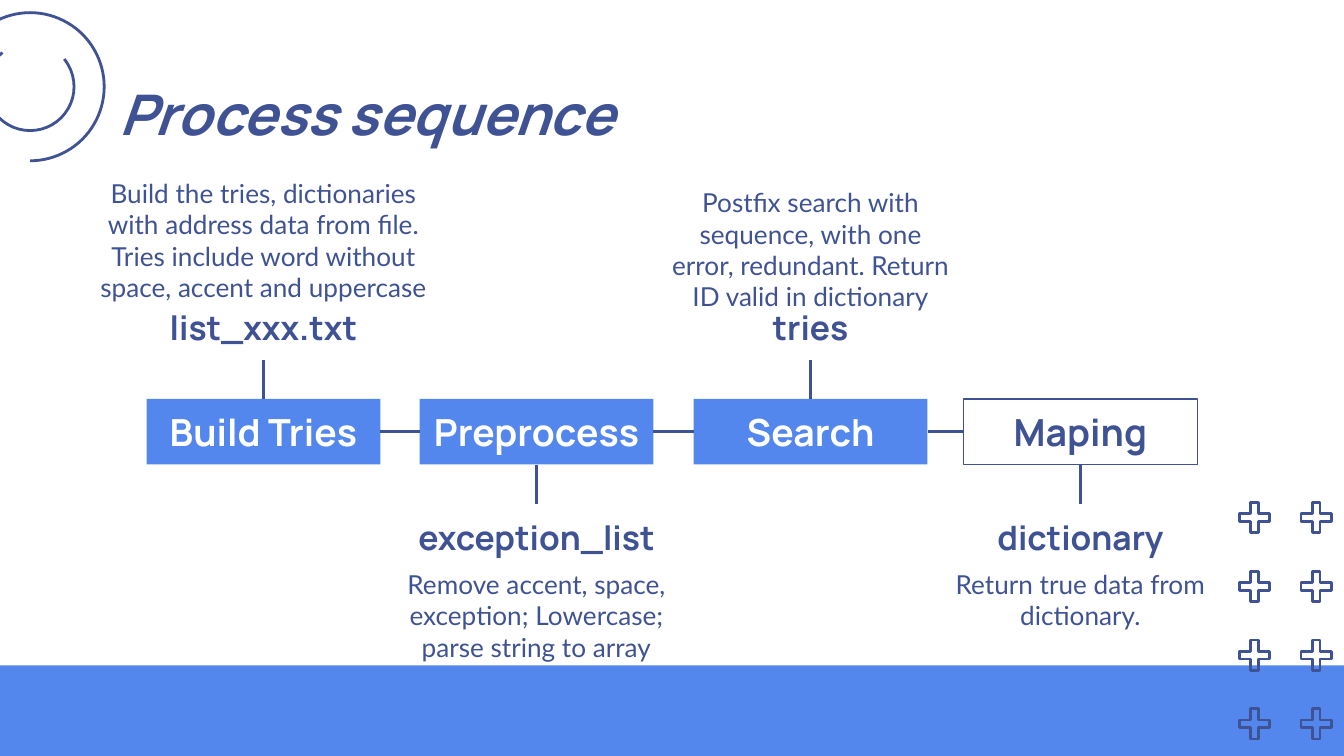
"""Build a process sequence slide: four linked steps with sources and notes."""
from dataclasses import dataclass
from itertools import pairwise, product

from pptx import Presentation
from pptx.dml.color import RGBColor
from pptx.enum.shapes import MSO_CONNECTOR, MSO_SHAPE
from pptx.enum.text import MSO_ANCHOR, PP_ALIGN
from pptx.oxml.ns import qn
from pptx.util import Cm, Pt

RECTANGLE, CROSS, ARC = MSO_SHAPE.RECTANGLE, MSO_SHAPE.CROSS, MSO_SHAPE.ARC
STRAIGHT = MSO_CONNECTOR.STRAIGHT
TOP, MIDDLE = MSO_ANCHOR.TOP, MSO_ANCHOR.MIDDLE
LEFT, CENTER = PP_ALIGN.LEFT, PP_ALIGN.CENTER

NAVY, BLUE, WHITE = "3F5294", "5387ED", "FFFFFF"
HEADING_FONT, BODY_FONT = "Manrope", "Lato"
SLIDE_WIDTH, SLIDE_HEIGHT = 25.4, 14.29
BAND_TOP = 12.58
STEP_WIDTH, STEP_HEIGHT, STEP_TOP = 4.42, 1.24, 7.54
STEP_BOTTOM = STEP_TOP + STEP_HEIGHT
STEM_LENGTH = 0.74
SOURCE_WIDTH, SOURCE_HEIGHT = 5.94, 1.24
CROSS_SIZE = 0.57
RING_X, RING_Y = 0.57, 1.64
ARC_UNITS_PER_DEGREE = 0.6


@dataclass(frozen=True)
class Step:
    """A process step, with its source and note above or below it."""
    name: str
    center: float
    above: bool
    source: str
    note: str
    note_top: float
    note_width: float = 5.94
    fill: str = BLUE
    color: str = WHITE


@dataclass(frozen=True)
class Ring:
    """An open circle drawn clockwise between two angles."""
    radius: float
    start: float
    end: float


STEPS = [
    Step("Build Tries", 4.98, True, "list_xxx.txt",
         "Build the tries, dictionaries with address data from file. "
         "Tries include word without space, accent and uppercase", 3.1, 6.99),
    Step("Preprocess", 10.14, False, "exception_list",
         "Remove accent, space, exception; Lowercase; parse string to array", 10.49),
    Step("Search", 15.32, True, "tries",
         "Postfix search with sequence, with one error, redundant. "
         "Return ID valid in dictionary", 3.28),
    Step("Maping", 20.42, False, "dictionary",
         "Return true data from dictionary.", 10.49, fill=WHITE, color=NAVY),
]
RINGS = [Ring(1.4, 180, 90), Ring(0.83, 321, 231)]


def rgb(color: str) -> RGBColor:
    """Turn a hex string into a colour."""
    return RGBColor.from_string(color)


def write(shape, text: str, size: float, color: str, font: str = HEADING_FONT,
          bold: bool = True, italic: bool = False, align=CENTER, anchor=TOP,
          side_margin: float = 0.25) -> None:
    """Put formatted text into a shape."""
    frame = shape.text_frame
    frame.text = text
    frame.word_wrap = True
    frame.vertical_anchor = anchor
    frame.margin_left = frame.margin_right = Cm(side_margin)
    frame.margin_top = frame.margin_bottom = Cm(0.25)
    paragraph = frame.paragraphs[0]
    paragraph.alignment = align
    run_font = paragraph.runs[0].font
    run_font.name, run_font.size = font, Pt(size)
    run_font.bold, run_font.italic = bold, italic
    run_font.color.rgb = rgb(color)


def add_figure(slide, preset, left: float, top: float, width: float, height: float,
               fill: str | None = None, line_width: float = 0):
    """Add a preset shape with an optional fill and outline."""
    figure = slide.shapes.add_shape(preset, Cm(left), Cm(top), Cm(width), Cm(height))
    figure.shadow.inherit = False
    if fill:
        figure.fill.solid()
        figure.fill.fore_color.rgb = rgb(fill)
    else:
        figure.fill.background()
    if line_width:
        figure.line.color.rgb = rgb(NAVY)
        figure.line.width = Pt(line_width)
    else:
        figure.line.fill.background()
    return figure


def add_link(slide, x1: float, y1: float, x2: float, y2: float) -> None:
    """Add a plain connecting line."""
    link = slide.shapes.add_connector(STRAIGHT, Cm(x1), Cm(y1), Cm(x2), Cm(y2))
    link.line.color.rgb = rgb(NAVY)
    link.line.width = Pt(1.5)
    properties = link._element.spPr
    properties.append(properties.makeelement(qn("a:effectLst"), {}))


def add_caption(slide, center: float, top: float, width: float, height: float):
    """Add a text box centred on a step."""
    return slide.shapes.add_textbox(
        Cm(center - width / 2), Cm(top), Cm(width), Cm(height))


def add_step(slide, step: Step) -> None:
    """Draw a step box with its stem, source and note."""
    box = add_figure(slide, RECTANGLE, step.center - STEP_WIDTH / 2, STEP_TOP,
                     STEP_WIDTH, STEP_HEIGHT, step.fill,
                     0.75 if step.fill == WHITE else 0)
    write(box, step.name, 20, step.color, anchor=MIDDLE, side_margin=0.1)
    if step.above:
        stem_start, stem_end = STEP_TOP, STEP_TOP - STEM_LENGTH
        source_top = stem_end - SOURCE_HEIGHT
    else:
        stem_start, stem_end = STEP_BOTTOM, STEP_BOTTOM + STEM_LENGTH
        source_top = stem_end
    add_link(slide, step.center, stem_start, step.center, stem_end)
    source = add_caption(slide, step.center, source_top, SOURCE_WIDTH, SOURCE_HEIGHT)
    write(source, step.source, 18, NAVY)
    note = add_caption(slide, step.center, step.note_top, step.note_width, 1.6)
    write(note, step.note, 14, NAVY, BODY_FONT, bold=False)


def add_decoration(slide) -> None:
    """Draw the bottom band, the crosses and the rings."""
    add_figure(slide, RECTANGLE, 0, BAND_TOP, SLIDE_WIDTH, SLIDE_HEIGHT - BAND_TOP, BLUE)
    for column, row in product(range(2), range(4)):
        cross = add_figure(slide, CROSS, 23.42 + 1.17 * column, 9.5 + 1.3 * row,
                           CROSS_SIZE, CROSS_SIZE, line_width=1.5)
        cross.adjustments[0] = 0.37
    for ring in RINGS:
        arc = add_figure(slide, ARC, RING_X - ring.radius, RING_Y - ring.radius,
                         2 * ring.radius, 2 * ring.radius, line_width=1.5)
        arc.adjustments[0] = ring.start * ARC_UNITS_PER_DEGREE
        arc.adjustments[1] = ring.end * ARC_UNITS_PER_DEGREE


def main() -> None:
    """Build and save the slide."""
    deck = Presentation()
    deck.slide_width, deck.slide_height = Cm(SLIDE_WIDTH), Cm(SLIDE_HEIGHT)
    slide = deck.slides.add_slide(deck.slide_layouts.get_by_name("Title Only"))
    add_decoration(slide)
    title = slide.shapes.title
    title.left, title.top, title.width, title.height = Cm(2), Cm(1.25), Cm(21.4), Cm(1.6)
    write(title, "Process sequence", 30, NAVY, italic=True, align=LEFT)
    for step in STEPS:
        add_step(slide, step)
    for before, after in pairwise(STEPS):
        middle = STEP_TOP + STEP_HEIGHT / 2
        add_link(slide, before.center + STEP_WIDTH / 2, middle,
                 after.center - STEP_WIDTH / 2, middle)
    deck.save("out.pptx")


if __name__ == "__main__":
    main()
